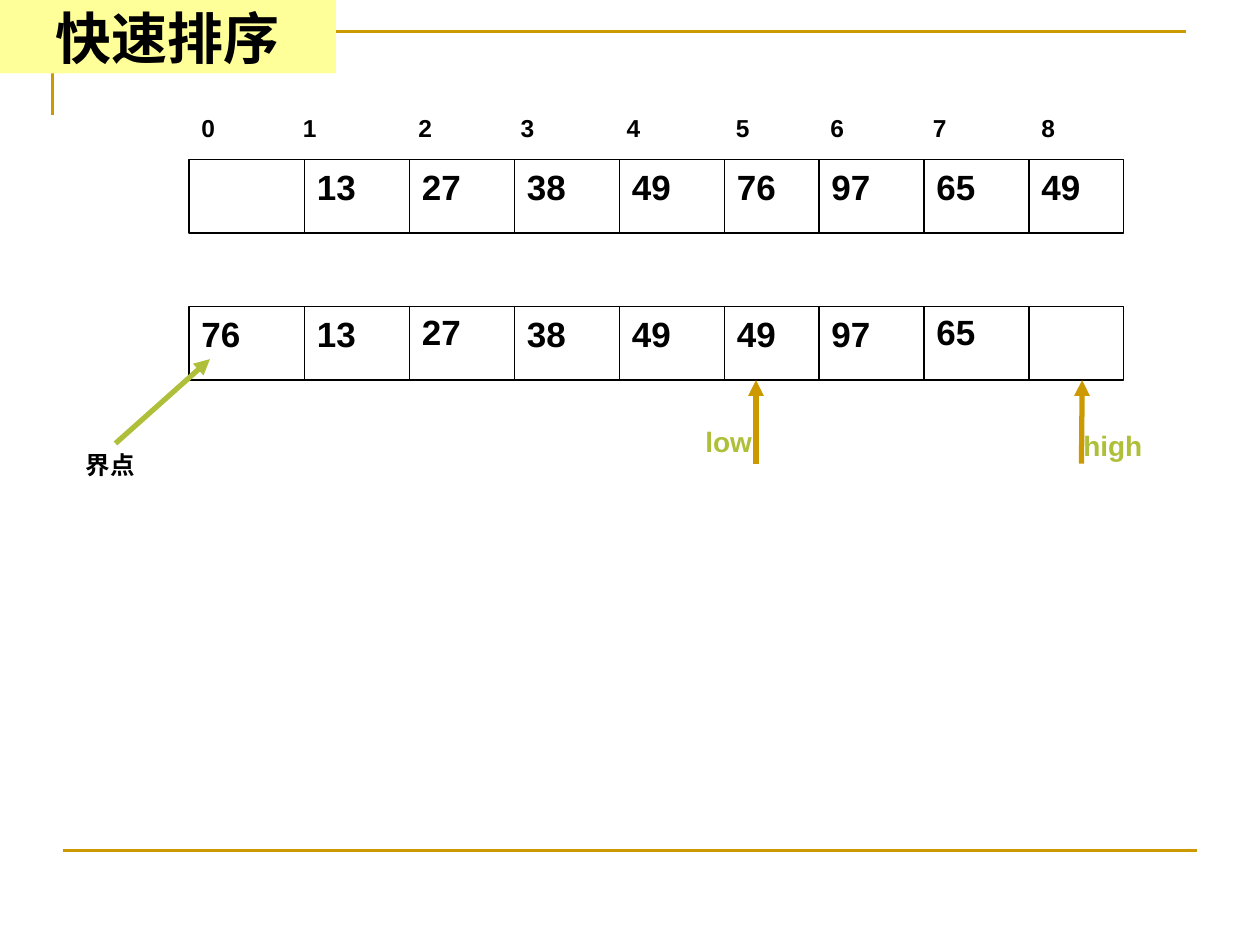
from dataclasses import dataclass
from itertools import pairwise

from lxml.etree import SubElement
from pptx import Presentation
from pptx.dml.color import RGBColor
from pptx.enum.shapes import MSO_CONNECTOR, MSO_SHAPE
from pptx.enum.text import MSO_ANCHOR, MSO_AUTO_SIZE, PP_ALIGN
from pptx.oxml.ns import qn
from pptx.util import Pt

BLACK = RGBColor(0x00, 0x00, 0x00)
WHITE = RGBColor(0xFF, 0xFF, 0xFF)
GOLD = RGBColor(0xCC, 0x99, 0x00)
GREEN = RGBColor(0xAF, 0xBF, 0x39)
YELLOW = RGBColor(0xFF, 0xFF, 0x99)

EDGES = (108, 174, 234, 294, 354, 414, 468, 528, 588, 642)
ROW_HEIGHT = 42
INDEX_TABS = (58, 124, 182.5, 243, 305.5, 359.5, 418, 480)
MARGINS = dict(margin_left=Pt(7.2), margin_right=Pt(7.2),
               margin_top=Pt(3.6), margin_bottom=Pt(3.6))


@dataclass(frozen=True)
class ArrayRow:
    top: float
    values: tuple[str, ...]
    raised: tuple[int, ...] = ()


@dataclass(frozen=True)
class Label:
    text: str
    left: float
    top: float
    width: float
    height: float
    size: float
    color: RGBColor = BLACK


@dataclass(frozen=True)
class Line:
    start: tuple[float, float]
    end: tuple[float, float]
    color: RGBColor
    width: float
    arrow: bool = False


ROWS = (
    ArrayRow(175.2, ("76", "13", "27", "38", "49", "49", "97", "65", ""), (2, 7)),
    ArrayRow(91.2, ("", "13", "27", "38", "49", "76", "97", "65", "49")),
)
POINTERS = (
    (Line((618, 265), (618.4, 217.2), GOLD, 3, True),
     Label("high", 612, 241.2, 66, 26.6, 16, GREEN)),
    (Line((432, 265), (432, 217.2), GOLD, 3, True),
     Label("low", 396, 239, 66, 26.6, 16, GREEN)),
)


def set_all(target, values: dict) -> None:
    for name, value in values.items():
        setattr(target, name, value)


def set_font(font, size: float, color: RGBColor, name: str = "Arial") -> None:
    set_all(font, dict(size=Pt(size), bold=True, name=name))
    font.color.rgb = color


def draw_line(shapes, line: Line) -> None:
    c = shapes.add_connector(MSO_CONNECTOR.STRAIGHT,
                             *map(Pt, line.start + line.end))
    c.line.color.rgb = line.color
    c.line.width = Pt(line.width)
    if line.arrow:
        SubElement(c.line._get_or_add_ln(), qn("a:tailEnd"), type="triangle")
    SubElement(c.element.spPr, qn("a:effectLst"))


def draw_label(shapes, label: Label, tabs: tuple[float, ...] = ()) -> None:
    box = map(Pt, (label.left, label.top, label.width, label.height))
    tf = shapes.add_textbox(*box).text_frame
    set_all(tf, MARGINS | dict(word_wrap=True,
                               auto_size=MSO_AUTO_SIZE.SHAPE_TO_FIT_TEXT))
    p = tf.paragraphs[0]
    if tabs:
        tab_list = SubElement(p._p.get_or_add_pPr(), qn("a:tabLst"))
        for pos in tabs:
            SubElement(tab_list, qn("a:tab"), pos=str(Pt(pos)), algn="l")
    r = p.add_run()
    r.text = label.text
    set_font(r.font, label.size, label.color)


def draw_grid(shapes, row: ArrayRow) -> None:
    group = shapes.add_group_shape().shapes
    sp = group.add_shape(MSO_SHAPE.RECTANGLE, Pt(EDGES[0]), Pt(row.top),
                         Pt(EDGES[-1] - EDGES[0]), Pt(ROW_HEIGHT))
    sp.shadow.inherit = False
    sp.fill.solid()
    sp.fill.fore_color.rgb = WHITE
    sp.line.color.rgb = BLACK
    sp.line.width = Pt(0.75)
    for x in EDGES[1:-1]:
        draw_line(group, Line((x, row.top), (x, row.top + ROW_HEIGHT), BLACK, 0.75))


def draw_values(shapes, row: ArrayRow) -> None:
    for i, (text, (left, _)) in enumerate(zip(row.values, pairwise(EDGES))):
        if text:
            top = row.top - (1.2 if i in row.raised else 0)
            draw_label(shapes, Label(text, left, top, 48, 31.5, 20))


def draw_frame(shapes) -> None:
    builder = shapes.build_freeform(Pt(30), Pt(66))
    builder.add_line_segments([(Pt(30), Pt(18)), (Pt(678), Pt(18))], close=False)
    corner = builder.convert_to_shape()
    corner.shadow.inherit = False
    corner.fill.background()
    corner.line.color.rgb = GOLD
    corner.line.width = Pt(1.5)
    draw_line(shapes, Line((36, 486), (684, 486), GOLD, 1.5))


def format_title(title) -> None:
    set_all(title, dict(left=Pt(0), top=Pt(0), width=Pt(192), height=Pt(42)))
    title.fill.solid()
    title.fill.fore_color.rgb = YELLOW
    tf = title.text_frame
    set_all(tf, MARGINS | dict(word_wrap=True, auto_size=MSO_AUTO_SIZE.NONE,
                               vertical_anchor=MSO_ANCHOR.MIDDLE))
    p = tf.paragraphs[0]
    p.alignment = PP_ALIGN.CENTER
    r = p.add_run()
    r.text = "快速排序"
    set_font(r.font, 32, BLACK, "Times New Roman")
    title.element.getparent().append(title.element)


def main() -> None:
    prs = Presentation()
    set_all(prs, dict(slide_width=Pt(720), slide_height=Pt(540)))
    s = prs.slides.add_slide(prs.slide_layouts[5])
    shapes = s.shapes
    draw_frame(shapes)
    for row in ROWS:
        draw_grid(shapes, row)
    indices = "\t".join(str(i) for i in range(len(EDGES) - 1))
    draw_label(shapes, Label(indices, EDGES[0], 61.2, 534, 24.5, 14), INDEX_TABS)
    for row in ROWS:
        draw_values(shapes, row)
    for arrow, label in POINTERS:
        group = shapes.add_group_shape().shapes
        draw_line(group, arrow)
        draw_label(group, label)
    draw_label(shapes, Label("界点", 42, 253.4, 60, 24.5, 14))
    draw_line(shapes, Line((66, 253.4), (120, 205.2), GREEN, 3, True))
    format_title(shapes.title)
    prs.save("out.pptx")


if __name__ == "__main__":
    main()
